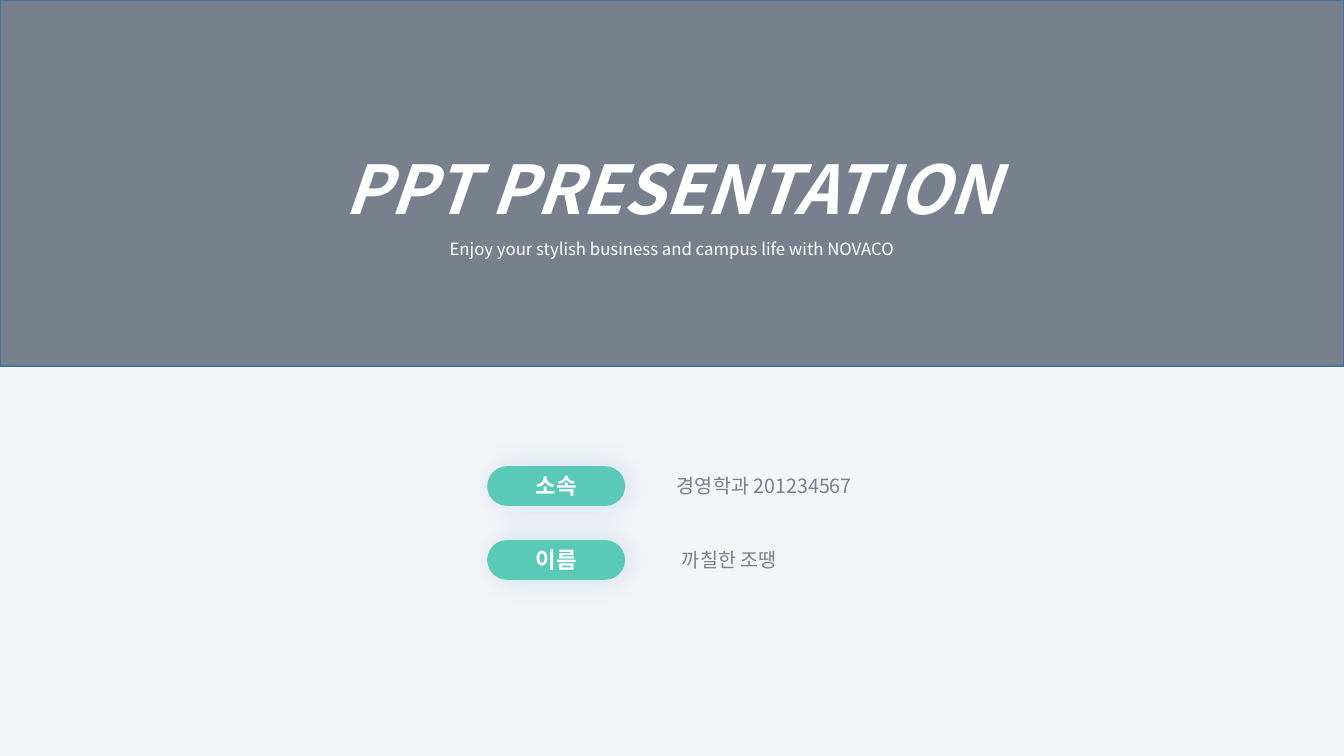
from lxml import etree
from pptx import Presentation
from pptx import util as u
from pptx.dml.color import RGBColor
from pptx.enum import shapes, text
from pptx.oxml.ns import qn

FONT = "Noto Sans CJK KR"
GRAY, TEAL, WHITE = "78808D", "5AC9B8", "FFFFFF"


def rgb(value):
    return RGBColor.from_string(value)


class Deck:
    def __init__(self, width, height, background):
        self.prs = Presentation()
        self.prs.slide_width, self.prs.slide_height = u.Pt(width), u.Pt(height)
        self.s = self.prs.slides.add_slide(self.prs.slide_layouts[6])
        fill = self.s.background.fill
        fill.solid()
        fill.fore_color.rgb = rgb(background)

    def add_lines(self, tf, lines, spacing=None):
        """Fill a text frame with centred lines of (wording, colour, font format)."""
        for i, (wording, color, fmt) in enumerate(lines):
            p = tf.paragraphs[0] if i == 0 else tf.add_paragraph()
            p.alignment = text.PP_ALIGN.CENTER
            p.line_spacing = spacing
            r = p.add_run()
            r.text = wording
            for name, value in {"name": FONT, **fmt}.items():
                setattr(r.font, name, value)
            r.font.color.rgb = rgb(color)
            etree.SubElement(r._r.get_or_add_rPr(), qn("a:ea"), typeface=FONT)

    def shape(self, kind, box, fill, lines, outline=None, spacing=None):
        sp = self.s.shapes.add_shape(kind, *map(u.Pt, box))
        sp.shadow.inherit = False
        sp.fill.solid()
        sp.fill.fore_color.rgb = rgb(fill)
        if outline:
            sp.line.color.rgb = rgb(outline)
            sp.line.width = u.Pt(1)
        else:
            sp.line.fill.background()
        sp.text_frame.vertical_anchor = text.MSO_ANCHOR.MIDDLE
        self.add_lines(sp.text_frame, lines, spacing)
        return sp

    def pill(self, box, label):
        fmt = {"size": u.Pt(16), "bold": True}
        sp = self.shape(shapes.MSO_SHAPE.ROUNDED_RECTANGLE, box, TEAL,
                        [(label, WHITE, fmt)])
        sp.adjustments[0] = 0.5
        # Soft blue glow, slightly to the right
        effects = sp._element.spPr.find(qn("a:effectLst"))
        shadow = etree.SubElement(effects, qn("a:outerShdw"),
                                  blurRad=str(u.Pt(23)), dist=str(u.Pt(3)),
                                  dir="0", algn="ctr", rotWithShape="0")
        color = etree.SubElement(shadow, qn("a:srgbClr"), val="1A73DE")
        etree.SubElement(color, qn("a:alpha"), val="17000")

    def label(self, box, wording):
        tf = self.s.shapes.add_textbox(*map(u.Pt, box)).text_frame
        tf.word_wrap = False
        tf.auto_size = text.MSO_AUTO_SIZE.SHAPE_TO_FIT_TEXT
        self.add_lines(tf, [(wording, GRAY, {"size": u.Pt(14)})])


def main():
    deck = Deck(960, 540, "F4F5F6")

    # Title band
    deck.shape(shapes.MSO_SHAPE.RECTANGLE, (0, 0, 960, 261.5), GRAY, [
        ("PPT PRESENTATION", WHITE,
         {"size": u.Pt(48), "bold": True, "italic": True}),
        ("Enjoy your stylish business and campus life with NOVACO", WHITE,
         {"size": u.Pt(12), "bold": False, "italic": False}),
    ], outline="43739E", spacing=1.5)

    # Presenter details
    details = [("소속", "경영학과 201234567", 473, 146),
               ("이름", "까칠한 조땡", 476, 90)]
    for row, (name, value, left, width) in enumerate(details):
        top = 333 + 52.8 * row
        deck.pill((348, top, 98.5, 28.4), name)
        deck.label((left, top + 2.3, width, 24.2), value)

    deck.prs.save("out.pptx")


if __name__ == "__main__":
    main()
